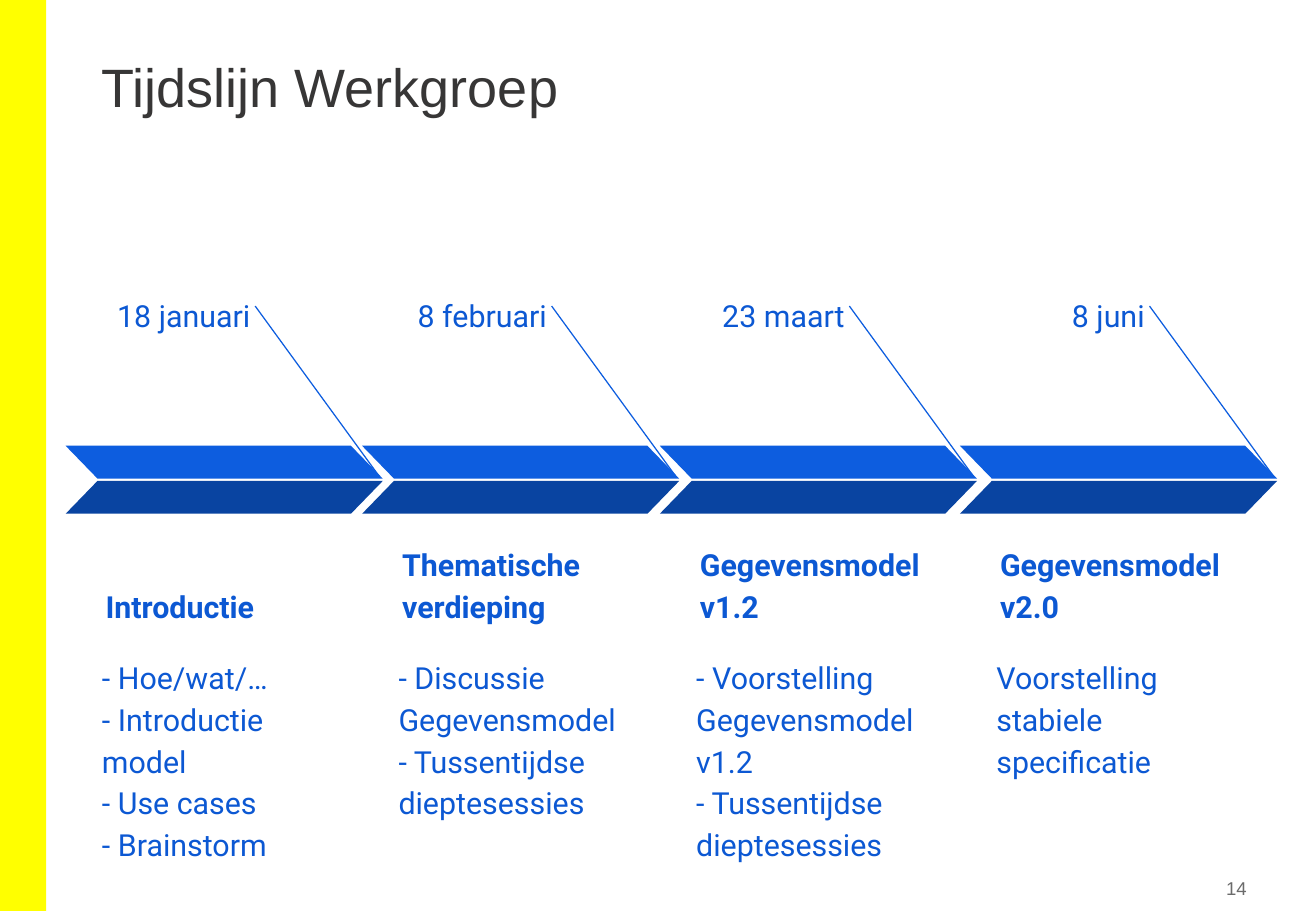
from lxml import etree
from pptx import Presentation
from pptx.dml.color import RGBColor
from pptx.enum.shapes import MSO_CONNECTOR, MSO_SHAPE
from pptx.enum.text import MSO_ANCHOR, PP_ALIGN
from pptx.oxml.ns import qn
from pptx.util import Inches, Pt

LEFT, RIGHT = PP_ALIGN.LEFT, PP_ALIGN.RIGHT
TOP, MIDDLE, BOTTOM = MSO_ANCHOR.TOP, MSO_ANCHOR.MIDDLE, MSO_ANCHOR.BOTTOM
COLORS = {
    "band": "FFFF00",
    "title": "373636",
    "number": "6B6B6B",
    "text": "0C58D3",
    "upper": "0D5DDF",
    "lower": "0944A1",
}

# Left edge of the arrow, date, heading, lines of the description
PHASES = [
    (0.54, "18 januari", "Introductie",
     ["- Hoe/wat/…", "- Introductie model", "- Use cases", "- Brainstorm"]),
    (2.98, "8 februari", "Thematische verdieping",
     ["- Discussie Gegevensmodel", "- Tussentijdse dieptesessies"]),
    (5.43, "23 maart", "Gegevensmodel v1.2",
     ["- Voorstelling Gegevensmodel v1.2", "- Tussentijdse dieptesessies"]),
    (7.9, "8 juni", "Gegevensmodel v2.0",
     ["Voorstelling stabiele specificatie"]),
]

prs = Presentation()
prs.slide_width, prs.slide_height = Inches(10.83), Inches(7.5)
slide = prs.slides.add_slide(prs.slide_layouts[6])
shapes = slide.shapes


def add_text(text, x, y, w, h, color="text", font="Roboto", size=18, bold=False,
             align=LEFT, anchor=TOP, inset=0.11, spacing=1.15):
    frame = shapes.add_textbox(Inches(x), Inches(y), Inches(w), Inches(h)).text_frame
    frame.word_wrap = True
    frame.vertical_anchor = anchor
    frame.margin_left = frame.margin_right = Inches(inset)
    frame.margin_top = frame.margin_bottom = Inches(inset)
    frame.text = text
    paragraph = frame.paragraphs[0]
    paragraph.alignment = align
    paragraph.line_spacing = spacing
    for run in paragraph.runs:
        run.font.name = font
        run.font.size = Pt(size)
        run.font.bold = bold
        run.font.color.rgb = RGBColor.from_string(COLORS[color])


def add_filled(kind, x, y, w, h, color):
    shape = shapes.add_shape(kind, Inches(x), Inches(y), Inches(w), Inches(h))
    shape.shadow.inherit = False
    shape.fill.solid()
    shape.fill.fore_color.rgb = RGBColor.from_string(COLORS[color])
    shape.line.fill.background()
    return shape


add_filled(MSO_SHAPE.RECTANGLE, 0, 0, 0.38, 7.5, "band")
add_text("Tijdslijn Werkgroep", 0.74, 0.4, 9.34, 1.08, color="title", font="Arial",
         size=32, inset=0.1, spacing=0.9)
add_text("14", 9.5, 7.17, 0.81, 0.29, color="number", font="Arial", size=11,
         align=RIGHT, anchor=MIDDLE, inset=0.05, spacing=1.0)

for left, date, heading, description in PHASES:
    add_text(date, left + 0.16, 2.29, 1.47, 0.46, align=RIGHT)
    add_text(heading, left + 0.22, 4.41, 2.2, 0.84, bold=True, anchor=BOTTOM)
    add_text("\v".join(description), left + 0.19, 5.27, 2.2, 1.39)

    pointer = shapes.add_connector(MSO_CONNECTOR.STRAIGHT, Inches(left + 1.56), Inches(2.52),
                                   Inches(left + 2.58), Inches(3.92))
    pointer.line.color.rgb = RGBColor.from_string(COLORS["upper"])
    pointer.line.width = Pt(0.75)
    etree.SubElement(pointer._element.spPr, qn("a:effectLst"))

    for half, top in (("upper", 3.67), ("lower", 3.96)):
        arrow_half = add_filled(MSO_SHAPE.PARALLELOGRAM, left, top, 2.61, 0.27, half)
        arrow_half.adjustments[0] = 0.97
        if half == "upper":
            arrow_half._element.spPr.find(qn("a:xfrm")).set("flipH", "1")

prs.save("out.pptx")
